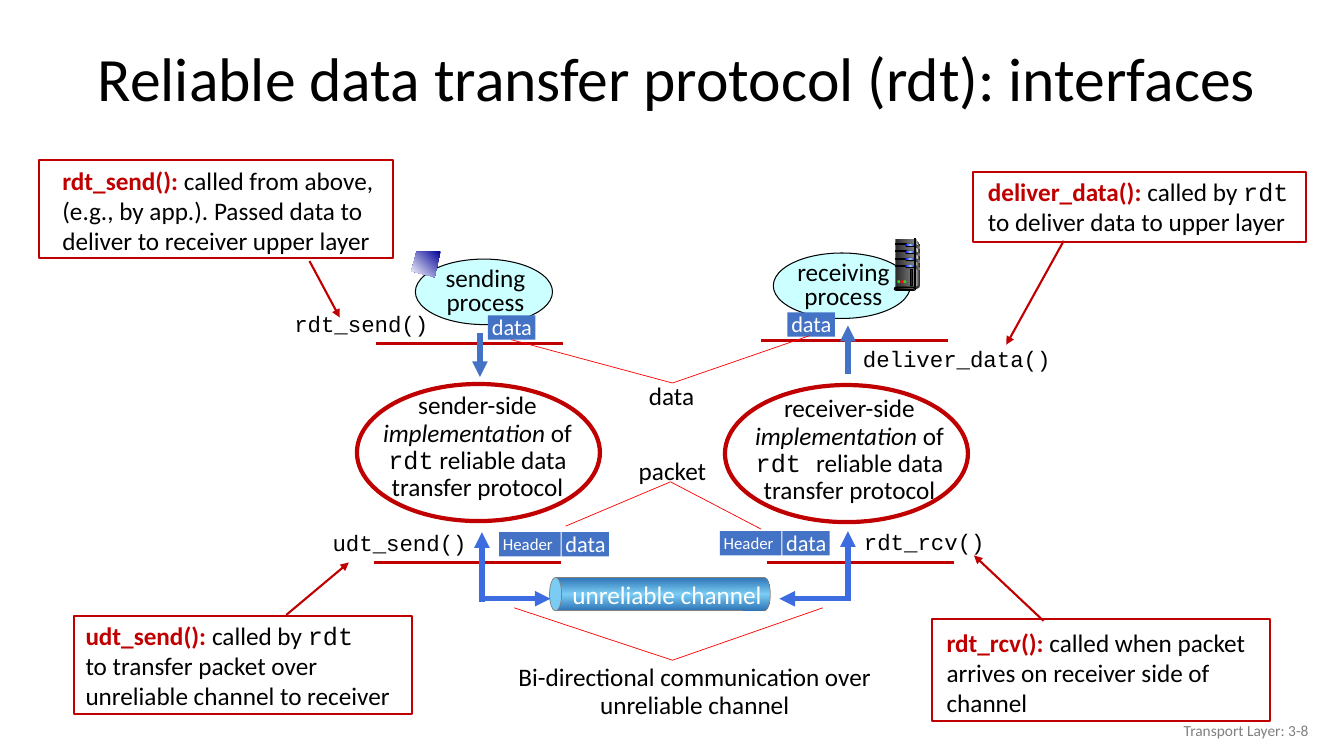
from lxml.etree import SubElement
from pptx import Presentation
from pptx.dml.color import RGBColor
from pptx.enum.shapes import MSO_CONNECTOR, MSO_SHAPE
from pptx.enum.text import MSO_ANCHOR, MSO_AUTO_SIZE, PP_ALIGN
from pptx.oxml import parse_xml
from pptx.oxml.ns import nsdecls, qn
from pptx.util import Inches, Pt

RED, BLUE, ROYAL, THIN = "C00000", "4472C4", "3C6CDF", "FF0000"
DARK, MID, SKY, STEEL = "292929", "808080", "7ACCF4", "2E75B6"
RECT, OVAL, ROUND = MSO_SHAPE.RECTANGLE, MSO_SHAPE.OVAL, MSO_SHAPE.ROUNDED_RECTANGLE
LEFT, MIDST, RIGHT = PP_ALIGN.LEFT, PP_ALIGN.CENTER, PP_ALIGN.RIGHT
CODE = {"name": "Courier New"}
ITAL = {"italic": True}
HEAD = {"bold": True, "color": RED}


def tint(code):
    return RGBColor.from_string(code)


def blend(*codes, turn=0):
    """Evenly spaced gradient stops and an angle in degrees."""
    return codes, turn


class Board:
    base = {"name": "Calibri", "size": 18, "color": "000000"}

    def __init__(self, slide):
        self.slide = slide
        self.shapes = slide.shapes

    def font(self, font, style):
        for key, value in {**self.base, **style}.items():
            if key == "color":
                font.color.rgb = tint(value)
            else:
                setattr(font, key, Pt(value) if key == "size" else value)

    def fill_text(self, frame, paras, style, align=LEFT, space=1.0, anchor=MSO_ANCHOR.TOP, wrap=True):
        form = {"word_wrap": wrap, "auto_size": MSO_AUTO_SIZE.NONE, "vertical_anchor": anchor}
        for key, value in form.items():
            setattr(frame, key, value)
        for i, runs in enumerate(paras):
            para = frame.add_paragraph() if i else frame.paragraphs[0]
            para.alignment, para.line_spacing = align, space
            for words, extra in runs:
                run = para.add_run()
                run.text = words
                self.font(run.font, {**style, **extra})

    def title(self, at, words):
        box = self.shapes.title
        for key, value in zip(("left", "top", "width", "height"), at):
            setattr(box, key, Inches(value))
        self.fill_text(box.text_frame, [[(words, {})]], {"size": 44}, space=0.9, anchor=MSO_ANCHOR.MIDDLE)

    def text(self, at, paras, style={}, **form):
        if isinstance(paras, str):
            paras = [[(paras, {})]]
        box = self.shapes.add_textbox(*map(Inches, at))
        self.fill_text(box.text_frame, paras, style, **form)

    def paint(self, item, fill, line):
        item.shadow.inherit = False
        if isinstance(fill, str):
            item.fill.solid()
            item.fill.fore_color.rgb = tint(fill)
        else:
            item.fill.background()
        if isinstance(fill, tuple):
            codes, turn = fill
            stops = "".join(
                f'<a:gs pos="{100000 * i // (len(codes) - 1)}"><a:srgbClr val="{code}"/></a:gs>'
                for i, code in enumerate(codes))
            props = item._element.spPr
            props.replace(props.find(qn("a:noFill")), parse_xml(
                f'<a:gradFill {nsdecls("a")} rotWithShape="1"><a:gsLst>{stops}</a:gsLst>'
                f'<a:lin ang="{turn * 60000}" scaled="0"/></a:gradFill>'))
        if line:
            item.line.color.rgb, item.line.width = tint(line[0]), Pt(line[1])
        else:
            item.line.fill.background()

    def shape(self, kind, at, fill=None, line=None):
        item = self.shapes.add_shape(kind, *map(Inches, at))
        if kind == ROUND:
            item.adjustments[0] = 0.5
        self.paint(item, fill, line)

    def free(self, points, fill):
        spots = [(Inches(x), Inches(y)) for x, y in points]
        pen = self.shapes.build_freeform(*spots[0])
        pen.add_line_segments(spots[1:], close=True)
        self.paint(pen.convert_to_shape(), fill, None)

    def line(self, start, end, color, width, arrow=False):
        item = self.shapes.add_connector(MSO_CONNECTOR.STRAIGHT, *map(Inches, (*start, *end)))
        item.line.color.rgb, item.line.width = tint(color), Pt(width)
        props = item._element.spPr
        if arrow:
            SubElement(props.find(qn("a:ln")), qn("a:tailEnd"), type="triangle")
        SubElement(props, qn("a:effectLst"))

    def tag(self, x, y, words="data", width=0.47, size=16, drop=0.07):
        self.shape(RECT, (x, y, width, 0.24), BLUE)
        self.text((x - 0.06, y - drop, width + 0.16, 0.37), words, {"size": size, "color": "FFFFFF"})

    def server(self):
        edge = ("000000", 0.75)
        shade = blend(DARK, MID)
        self.free([(9.08, 2.37), (9.12, 2.43), (9.12, 2.83), (9.07, 2.86)], blend("DDDDDD", "333333"))
        self.shape(RECT, (8.88, 2.37, 0.19, 0.49), shade)
        self.free([(9.08, 2.4), (9.11, 2.44), (9.09, 2.62), (9.08, 2.84)], blend(MID, "F8F8F8"))
        # Drive bays
        for i in range(4):
            y = 2.42 + 0.07 * i
            self.shape(RECT, (8.88, y, 0.11, 0.01), None, edge)
            self.shape(ROUND, (8.98, y, 0.1, 0.03), "000000")
            self.shape(ROUND, (8.98, y, 0.1, 0.02), blend("0000FF", "99CCFF", "0000FF"))
            self.free([(9.07, y), (9.12, y + 0.03), (9.12, y + 0.05), (9.07, y + 0.02)], shade)
        # Frame, foot and lamps
        self.shape(RECT, (9.07, 2.37, 0.01, 0.49), blend("333333", "DDDDDD", "333333"), edge)
        self.free([(9.07, 2.85), (9.07, 2.88), (9.12, 2.85), (9.12, 2.83)], "333333")
        self.shape(ROUND, (8.87, 2.85, 0.21, 0.03), "DDDDDD", edge)
        self.shape(ROUND, (8.88, 2.85, 0.19, 0.02), blend("000000", MID), edge)
        for x, color in ((8.9, "33CC33"), (8.93, "FF0000"), (8.96, "33CC33")):
            self.shape(OVAL, (x, 2.78, 0.03, 0.03), color)
        self.shape(RECT, (9.03, 2.67, 0.02, 0.16), DARK, edge)


def main():
    deck = Presentation()
    deck.slide_width, deck.slide_height = Inches(13.33), Inches(7.5)
    board = Board(deck.slides.add_slide(deck.slide_layouts[5]))
    board.title((0.87, 0.32, 12.14, 0.98), "Reliable data transfer protocol (rdt): interfaces")

    # Application processes
    for x, y, words, data in ((4.12, 2.57, "sending process", (4.84, 3.13)),
                              (7.67, 2.51, "receiving process", (7.81, 3.1))):
        board.shape(OVAL, (x, y, 1.36, 0.65), "CCFFFF", ("000000", 0.75))
        board.text((x + 0.09, y + 0.04, 1.21, 0.59), words, align=MIDST, space=0.8)
        board.tag(*data)
    board.free([(4.37, 2.49), (4.13, 2.5), (4.08, 2.69), (4.31, 2.75)],
               blend("000099", "FFFFFF", turn=135))
    board.server()

    # Layer borders
    for x, y in ((3.73, 3.41), (7.55, 3.38), (3.71, 5.58), (7.61, 5.58)):
        board.line((x, y), (x + 1.85, y), RED, 1.75)

    # Channel pipe
    pipe = blend(STEEL, SKY, STEEL, turn=270)
    rim = (MID, 0.5)
    board.shape(RECT, (5.51, 5.73, 2.07, 0.33), pipe, rim)
    board.shape(OVAL, (5.45, 5.73, 0.12, 0.33), SKY, rim)
    board.shape(OVAL, (7.52, 5.73, 0.12, 0.33), pipe, rim)
    board.shape(RECT, (7.37, 5.73, 0.21, 0.33), pipe)
    board.text((5.58, 5.7, 2.1, 0.4), "unreliable channel", {"color": "FFFFFF"}, wrap=False)

    # Protocol sides
    for x, y, side, code, rest in (
            (3.64, 3.85, "sender-side", "rdt", " reliable data transfer protocol"),
            (7.33, 3.88, "receiver-side", "rdt ", "reliable data transfer protocol")):
        board.text((x, y, 2.19, 1.19), [
            [(side, {})],
            [("implementation", ITAL), (" of ", {}), (code, CODE), (rest, {})],
        ], align=MIDST, space=0.9)
    for x, y in ((3.54, 3.81), (7.19, 3.82)):
        board.shape(OVAL, (x, y, 2.41, 1.36), None, (RED, 3))

    # Flow arrows
    for start, end, color in (
            ((4.76, 3.3), (4.76, 3.74), BLUE), ((8.41, 3.71), (8.41, 3.23), BLUE),
            ((4.78, 5.97), (4.78, 5.28), ROYAL), ((4.77, 5.94), (5.46, 5.94), ROYAL),
            ((8.42, 5.94), (7.73, 5.94), ROYAL), ((8.41, 5.96), (8.41, 5.27), ROYAL)):
        board.line(start, end, color, 3.75, arrow=True)

    # Call names
    for x, y, words in ((2.82, 3.03, "rdt_send()"), (3.2, 5.2, "udt_send()"),
                        (8.47, 5.19, "rdt_rcv()"), (8.46, 3.38, "deliver_data()")):
        board.text((x, y, 2.12, 0.37), words, {**CODE, "size": 16})

    # Packets
    for x, y in ((4.95, 5.28), (7.14, 5.27)):
        board.tag(x + 0.62, y)
        board.tag(x, y, "Header", width=0.61, size=12, drop=0.03)

    # Callouts: text place, frame, arrow, words
    for at, frame, start, end, paras in (
            ((0.52, 1.59, 3.29, 1.01), (0.39, 1.59, 3.51, 0.97), (3.07, 2.59), (3.37, 3.15),
             [[("rdt_send(): ", HEAD),
               ("called from above, (e.g., by app.). Passed data to deliver to receiver upper layer", {})]]),
            ((0.75, 6.1, 3.26, 1), (0.73, 6.11, 3.36, 0.97), (2.84, 6.1), (3.46, 5.58),
             [[("udt_send(): ", HEAD), ("called by ", {}), ("rdt", CODE)],
              [("to transfer packet over", {})], [("unreliable channel to receiver", {})]]),
            ((9.29, 6.17, 3.36, 1.01), (9.24, 6.14, 3.36, 1.01), (10.35, 6.16), (9.66, 5.51),
             [[("rdt_rcv(): ", HEAD), ("called when packet arrives on receiver side of channel", {})]]),
            ((9.7, 1.7, 3.3, 0.71), (9.65, 1.71, 3.3, 0.69), (10.55, 2.39), (9.98, 3.42),
             [[("deliver_data(): ", HEAD), ("called by ", {}), ("rdt ", CODE),
               ("to deliver data to upper layer", {})]])):
        board.text(at, paras)
        board.line(start, end, RED, 1.5, arrow=True)
        board.shape(RECT, frame, None, (RED, 1.5))

    # Shared labels with thin pointers
    for at, words, tip, ends in (
            ((4.8, 6.55, 4.18, 0.65), "Bi-directional communication over unreliable channel",
             (6.67, 6.55), ((5.1, 6.03), (8.16, 6.03))),
            ((4.57, 3.76, 4.18, 0.37), "data", (6.67, 3.8), ((5.07, 3.37), (8.03, 3.33))),
            ((6.05, 4.5, 1.24, 0.37), "packet", (6.65, 4.78), ((5.61, 5.22), (7.55, 5.25)))):
        board.text(at, words, align=MIDST, space=0.9)
        for end in ends:
            board.line(end, tip, THIN, 0.5)

    # Footer
    board.text((10.08, 7.05, 3, 0.4), "Transport Layer: 3-8", {"size": 11, "color": MID},
               align=RIGHT, anchor=MSO_ANCHOR.MIDDLE)
    deck.save("out.pptx")


if __name__ == "__main__":
    main()
